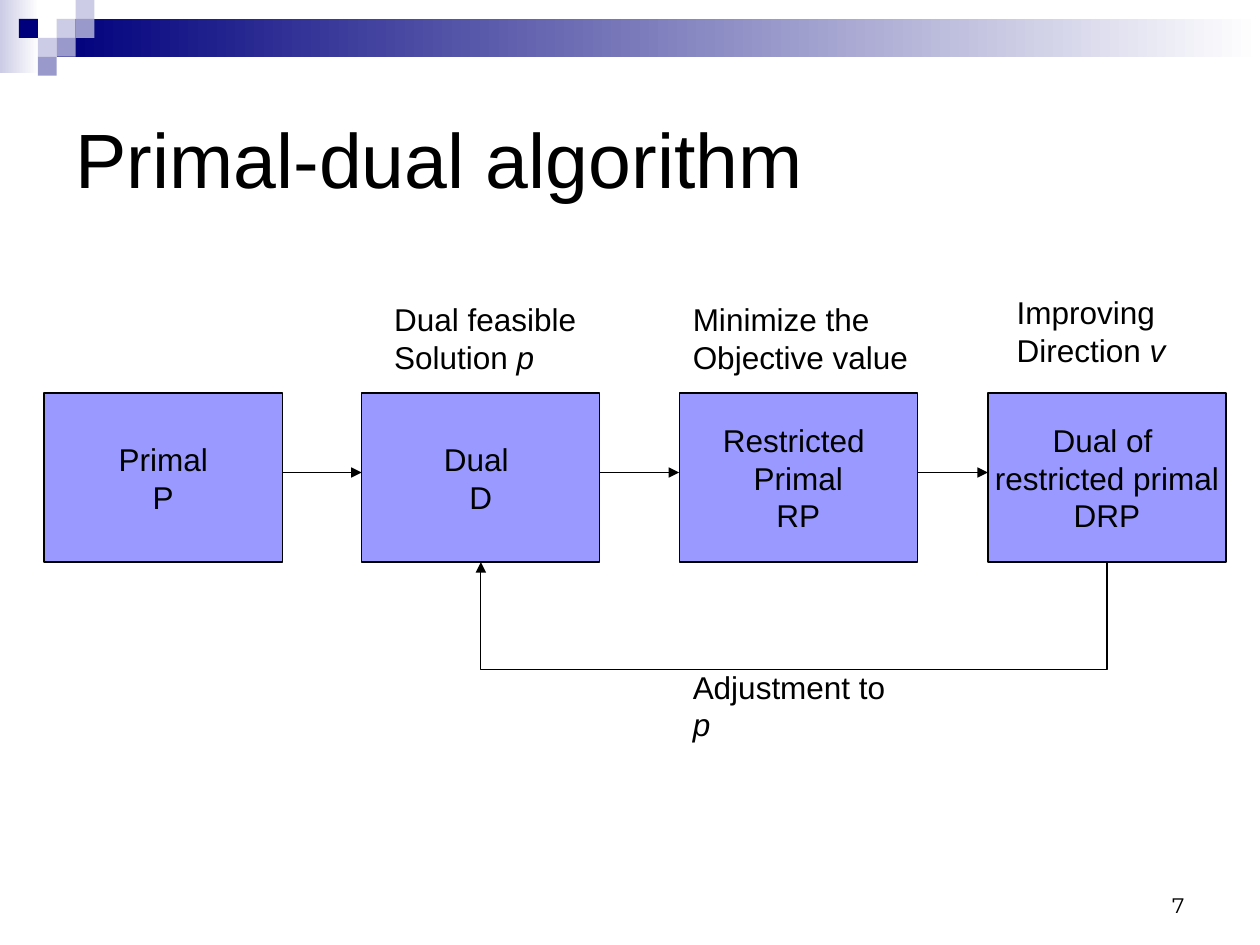
from typing import NamedTuple

from lxml import etree
from pptx import Presentation, util as u
from pptx.dml.color import RGBColor
from pptx.enum import shapes, text
from pptx.oxml.ns import qn

COLORS = {"ink": "000000", "box": "9999FF", "navy": "00007D",
          "mid": "9999CC", "pale": "CCCCE6", "white": "FFFFFF"}
CELL = u.Inches(0.1)  # the slide is a grid of 100 columns by 75 rows
TILE = 1.5            # side of a header tile, in cells
BOX_W, BOX_H, BOX_TOP = 18.9, 13.4, 31.2
ARROW_ROW = 37.5
LOOP_DEPTH = 8.6
LOOP_SPAN = u.Emu(2540)  # tiny extent that scales the bend of the loop


class Tile(NamedTuple):
    col: int
    row: int
    color: str


class Run(NamedTuple):
    words: str
    italic: bool = False


class Stage(NamedTuple):
    left: float
    lines: list[str]


class Label(NamedTuple):
    left: float
    top: float
    width: float
    height: float
    lines: list[list[Run]]
    size: int = 18
    font: str = "Arial"
    anchor: text.MSO_ANCHOR = text.MSO_ANCHOR.TOP
    align: text.PP_ALIGN = text.PP_ALIGN.LEFT
    wrap: bool = False


TILES = [Tile(3, 1, "pale"), Tile(4, 0, "pale"), Tile(4, 1, "mid"),
         Tile(2, 2, "pale"), Tile(1, 1, "navy"), Tile(3, 2, "mid"),
         Tile(2, 3, "mid")]

STAGES = [Stage(3.5, ["Primal", "P"]),
          Stage(28.7, ["Dual ", "D"]),
          Stage(53.9, ["Restricted ", "Primal", "RP"]),
          Stage(78.4, ["Dual of ", "restricted primal", "DRP"])]

LABELS = [
    Label(5, 5, 90, 15, [[Run("Primal-dual algorithm")]], size=44,
          anchor=text.MSO_ANCHOR.MIDDLE, wrap=True),
    Label(30.3, 23.3, 17.1, 7,
          [[Run("Dual feasible")], [Run("Solution "), Run("p", True)]]),
    Label(79.7, 22.8, 13.8, 7,
          [[Run("Improving")], [Run("Direction "), Run("v", True)]]),
    Label(54, 52.5, 19.3, 4, [[Run("Adjustment to "), Run("p", True)]]),
    Label(54, 23.3, 19.1, 7,
          [[Run("Minimize the")], [Run("Objective value")]]),
    Label(71.7, 68.3, 23.3, 5, [[Run("7")]], size=12, font="Montserrat",
          anchor=text.MSO_ANCHOR.BOTTOM, align=text.PP_ALIGN.RIGHT, wrap=True),
]


def cells(*counts: float) -> list[int]:
    return [round(count * CELL) for count in counts]


def rgb(name: str) -> RGBColor:
    return RGBColor.from_string(COLORS[name])


def write(frame, lines: list[list[Run]], size: int, font: str, align) -> None:
    for index, runs in enumerate(lines):
        paragraph = frame.paragraphs[0] if index == 0 else frame.add_paragraph()
        paragraph.alignment = align
        for words, italic in runs:
            run = paragraph.add_run()
            run.text = words
            run.font.size = u.Pt(size)
            run.font.name = font
            run.font.italic = italic
            run.font.color.rgb = rgb("ink")


def add_rect(slide, left: float, top: float, width: float, height: float,
             color: str, fades: bool = False):
    rect = slide.shapes.add_shape(shapes.MSO_SHAPE.RECTANGLE,
                                  *cells(left, top, width, height))
    rect.shadow.inherit = False
    rect.line.fill.background()
    if fades:
        rect.fill.gradient()
        rect.fill.gradient_angle = 180
        for stop, name in zip(rect.fill.gradient_stops, ("white", color)):
            stop.color.rgb = rgb(name)
    else:
        rect.fill.solid()
        rect.fill.fore_color.rgb = rgb(color)
    return rect


def add_stage(slide, stage: Stage) -> None:
    box = add_rect(slide, stage.left, BOX_TOP, BOX_W, BOX_H, "box")
    box.line.color.rgb = rgb("ink")
    box.line.width = u.Pt(0.75)
    frame = box.text_frame
    frame.word_wrap = False
    frame.vertical_anchor = text.MSO_ANCHOR.MIDDLE
    write(frame, [[Run(line)] for line in stage.lines], 18, "Arial",
          text.PP_ALIGN.CENTER)


def add_arrow(slide, kind, ends: list[int]):
    arrow = slide.shapes.add_connector(kind, *ends)
    arrow.line.color.rgb = rgb("ink")
    arrow.line.width = u.Pt(0.75)
    etree.SubElement(arrow.line._get_or_add_ln(), qn("a:tailEnd"), type="triangle")
    etree.SubElement(arrow._element.spPr, qn("a:effectLst"))
    return arrow


def add_loop(slide, source: Stage, target: Stage) -> None:
    """Elbow arrow, turned a quarter, from under source back to under target."""
    middle = (source.left + target.left + BOX_W) / 2
    reach = (source.left - target.left) / 2
    bottom = BOX_TOP + BOX_H
    x, top, end = cells(middle, bottom - reach, bottom + reach)
    loop = add_arrow(slide, shapes.MSO_CONNECTOR.ELBOW,
                     [x, top, x + LOOP_SPAN, end])
    properties = loop._element.spPr
    properties.find(qn("a:xfrm")).set("rot", str(90 * 60000))
    bend = round(LOOP_DEPTH * CELL / LOOP_SPAN * 100000)
    guides = properties.find(qn("a:prstGeom")).find(qn("a:avLst"))
    etree.SubElement(guides, qn("a:gd"), name="adj1", fmla=f"val {bend}")


def add_label(slide, label: Label) -> None:
    frame = slide.shapes.add_textbox(
        *cells(label.left, label.top, label.width, label.height)).text_frame
    frame.word_wrap = label.wrap
    frame.vertical_anchor = label.anchor
    write(frame, label.lines, label.size, label.font, label.align)


def main() -> None:
    deck = Presentation()
    deck.slide_width, deck.slide_height = cells(100, 75)
    slide = deck.slides.add_slide(deck.slide_layouts[6])

    # Header band and tiles
    add_rect(slide, 0, 0, 3.1, 5.8, "pale", fades=True)
    add_rect(slide, 4.5, 1.5, 95.5, 3, "navy", fades=True)
    for tile in TILES:
        add_rect(slide, tile.col * TILE, tile.row * TILE, TILE, TILE, tile.color)

    # Stages, the arrows between them and the way back
    for stage in STAGES:
        add_stage(slide, stage)
    for source, target in zip(STAGES, STAGES[1:]):
        add_arrow(slide, shapes.MSO_CONNECTOR.STRAIGHT,
                  cells(source.left + BOX_W, ARROW_ROW, target.left, ARROW_ROW))
    add_loop(slide, STAGES[3], STAGES[1])

    # Title, notes on the stages and page number
    for label in LABELS:
        add_label(slide, label)

    deck.save("out.pptx")


if __name__ == "__main__":
    main()
